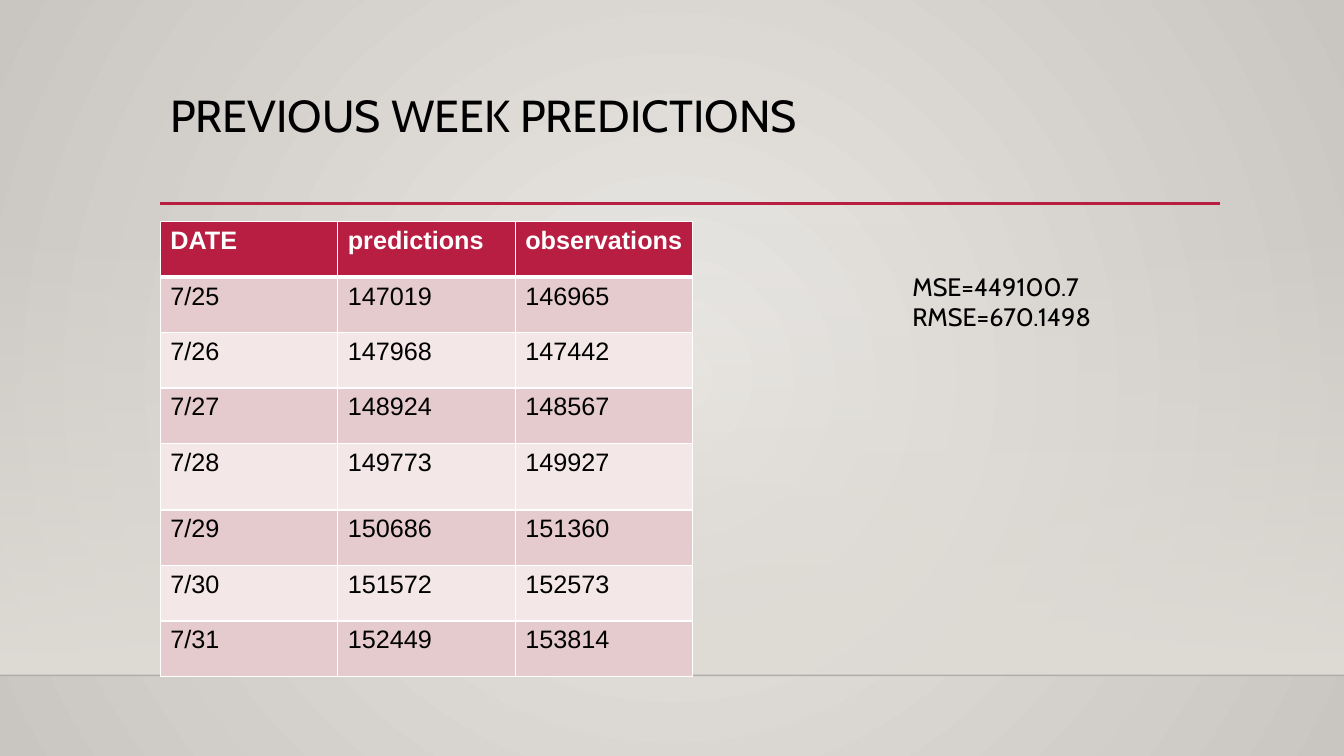
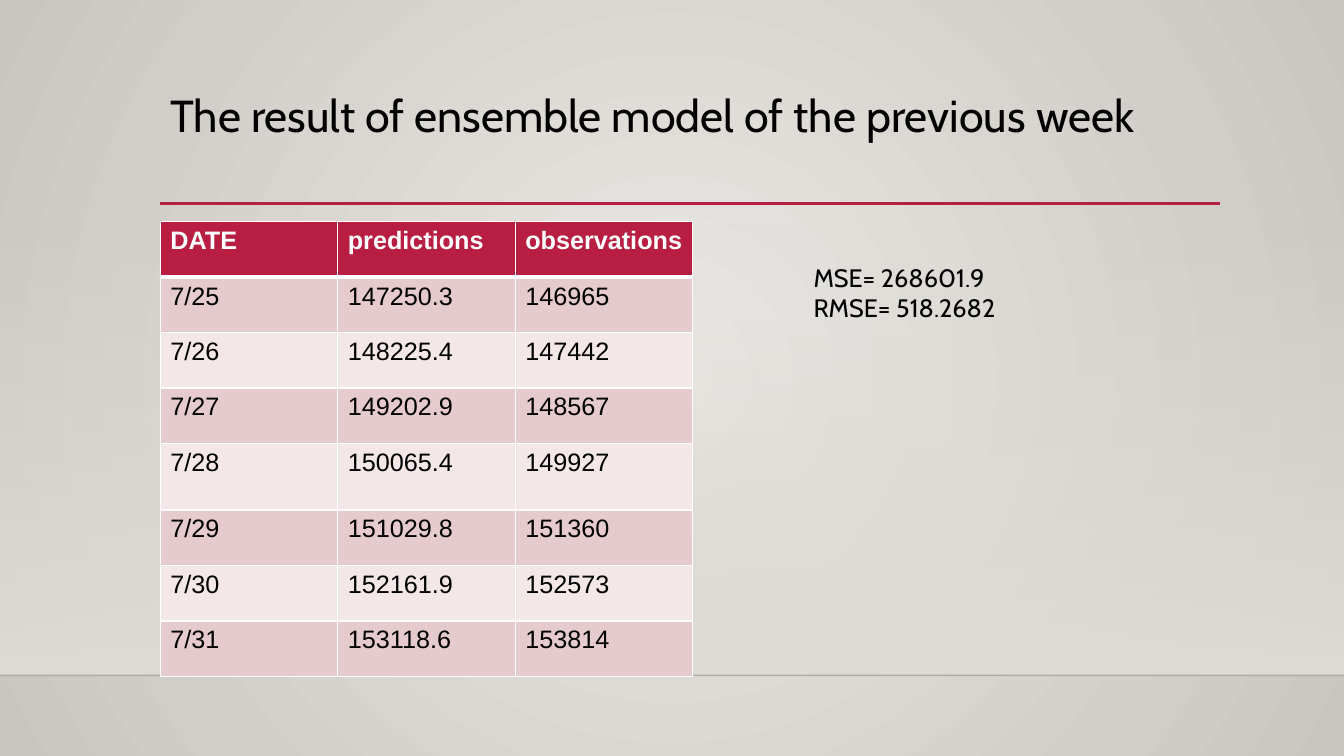
from lxml.etree import SubElement
from pptx import Presentation
from pptx.dml.color import RGBColor
from pptx.enum.shapes import MSO_CONNECTOR, MSO_SHAPE
from pptx.enum.text import MSO_ANCHOR
from pptx.oxml.ns import qn
from pptx.util import Inches, Pt

WIDTH, HEIGHT = 13.33, 7.5
LEFT, RIGHT = 1.59, 12.1
FLOOR = 6.7


def rgb(value):
    return RGBColor.from_string(value)


def set_alpha(element, percent):
    """Give the first colour inside an element an opacity."""
    color = element.find(".//" + qn("a:srgbClr"))
    SubElement(color, qn("a:alpha"), val=str(percent * 1000))


class Deck:
    RED, WHITE, BLACK = "B71E42", "FFFFFF", "000000"
    BANDS = ("E5CBCD", "F3E7E8")
    BACKDROP = ("EBE9E6", "C9C5C0")
    WALL = "DFDBD5"
    FONT, TABLE_FONT = "Cabin", "Arial"
    TITLE_SIZE, BODY_SIZE = 32, 18

    def __init__(self):
        self.prs = Presentation()
        self.prs.slide_width = Inches(WIDTH)
        self.prs.slide_height = Inches(HEIGHT)
        self.s = None

    def new_slide(self, title):
        self.s = self.prs.slides.add_slide(self.prs.slide_layouts[6])
        self.backdrop()
        self.wall()
        self.line(0, WIDTH, FLOOR, "000001", 1, alpha=20)
        self.line(LEFT, RIGHT, 2.02, self.RED, 2.5)
        self.text([title], LEFT, 0.88, 10.5, 1.15, self.TITLE_SIZE, spacing=0.9)

    def gradient(self, fill, colors):
        fill.gradient()
        for stop, color in zip(fill.gradient_stops, colors):
            stop.color.rgb = rgb(color)

    def backdrop(self):
        self.gradient(self.s.background.fill, self.BACKDROP)
        grad = self.s.element.find(".//" + qn("a:gradFill"))
        grad.remove(grad.find(qn("a:lin")))
        circle = SubElement(grad, qn("a:path"), {"path": "circle"})
        SubElement(circle, qn("a:fillToRect"), dict.fromkeys("ltrb", "50000"))

    def wall(self):
        """Band that fades in from clear at its top."""
        sp = self.s.shapes.add_shape(MSO_SHAPE.RECTANGLE, 0, Inches(2.21),
                                     Inches(WIDTH), Inches(FLOOR - 2.21))
        sp.shadow.inherit = False
        sp.line.fill.background()
        self.gradient(sp.fill, (self.WALL, self.WALL))
        sp.fill.gradient_angle = 270
        set_alpha(sp.element.spPr, 0)

    def line(self, x1, x2, y, color, width, alpha=None):
        cxn = self.s.shapes.add_connector(MSO_CONNECTOR.STRAIGHT, Inches(x1),
                                          Inches(y), Inches(x2), Inches(y))
        cxn.line.color.rgb = rgb(color)
        cxn.line.width = Pt(width)
        spPr = cxn._element.spPr
        SubElement(spPr, qn("a:effectLst"))
        if alpha is not None:
            set_alpha(spPr, alpha)

    def run(self, p, text, size, font, color, bold=False):
        r = p.add_run()
        r.text = text
        r.font.size = Pt(size)
        r.font.name = font
        r.font.bold = bold
        r.font.color.rgb = rgb(color)

    def text(self, lines, x, y, w, h, size=BODY_SIZE, spacing=None, inset=0.05):
        box = self.s.shapes.add_textbox(Inches(x), Inches(y), Inches(w), Inches(h))
        tf = box.text_frame
        tf.word_wrap = True
        tf.vertical_anchor = MSO_ANCHOR.TOP
        tf.margin_top = tf.margin_bottom = Inches(inset)
        for i, line in enumerate(lines):
            p = tf.add_paragraph() if i else tf.paragraphs[0]
            p.line_spacing = spacing
            self.run(p, line, size, self.FONT, self.BLACK)

    def borders(self, cell, **widths):
        """Draw white cell borders; widths in points, 1 unless given."""
        tcPr = cell._tc.get_or_add_tcPr()
        for i, side in enumerate("LRTB"):
            ln = SubElement(tcPr, qn("a:ln" + side), w=str(Pt(widths.get(side, 1))))
            fill = SubElement(ln, qn("a:solidFill"))
            SubElement(fill, qn("a:srgbClr"), val=self.WHITE)
            tcPr.insert(i, ln)

    def table(self, rows, heights):
        col_width = 1.76
        columns = len(rows[0])
        table = self.s.shapes.add_table(
            len(rows), columns, Inches(LEFT), Inches(2.2),
            Inches(col_width * columns), Inches(sum(heights))).table
        for column in table.columns:
            column.width = Inches(col_width)
        for i, (row, height) in enumerate(zip(rows, heights)):
            table.rows[i].height = Inches(height)
            header = i == 0
            for j, value in enumerate(row):
                cell = table.cell(i, j)
                cell.fill.solid()
                cell.fill.fore_color.rgb = rgb(self.RED if header else self.BANDS[(i - 1) % 2])
                self.borders(cell, B=3 if header else 1, T=3 if i == 1 else 1)
                self.run(cell.text_frame.paragraphs[0], value, self.BODY_SIZE,
                         self.TABLE_FONT, self.WHITE if header else self.BLACK, header)


HEADER = ("DATE", "predictions", "observations")
DATES = [f"7/{day}" for day in range(25, 32)]
OBSERVATIONS = "146965 147442 148567 149927 151360 152573 153814".split()
ROW_HEIGHTS = [0.55] * 4 + [0.66] + [0.55] * 3


def forecast_slide(deck, title, predictions, scores, place, inset):
    deck.new_slide(title)
    deck.table([HEADER, *zip(DATES, predictions.split(), OBSERVATIONS)], ROW_HEIGHTS)
    deck.text(scores, *place, inset=inset)


def main():
    deck = Deck()

    # Single model
    forecast_slide(deck, "PREVIOUS WEEK PREDICTIONS",
                   "147019 147968 148924 149773 150686 151572 152449",
                   ["MSE=449100.7", "RMSE=670.1498"],
                   (8.95, 2.64, 2.52, 0.4), 0.05)

    # Ensemble model
    forecast_slide(deck, "The result of ensemble model of the previous week",
                   "147250.3 148225.4 149202.9 150065.4 151029.8 152161.9 153118.6",
                   ["MSE= 268601.9", "RMSE= 518.2682"],
                   (7.97, 2.5, 3.75, 0.8), 0.1)

    deck.prs.save("out.pptx")


if __name__ == "__main__":
    main()
